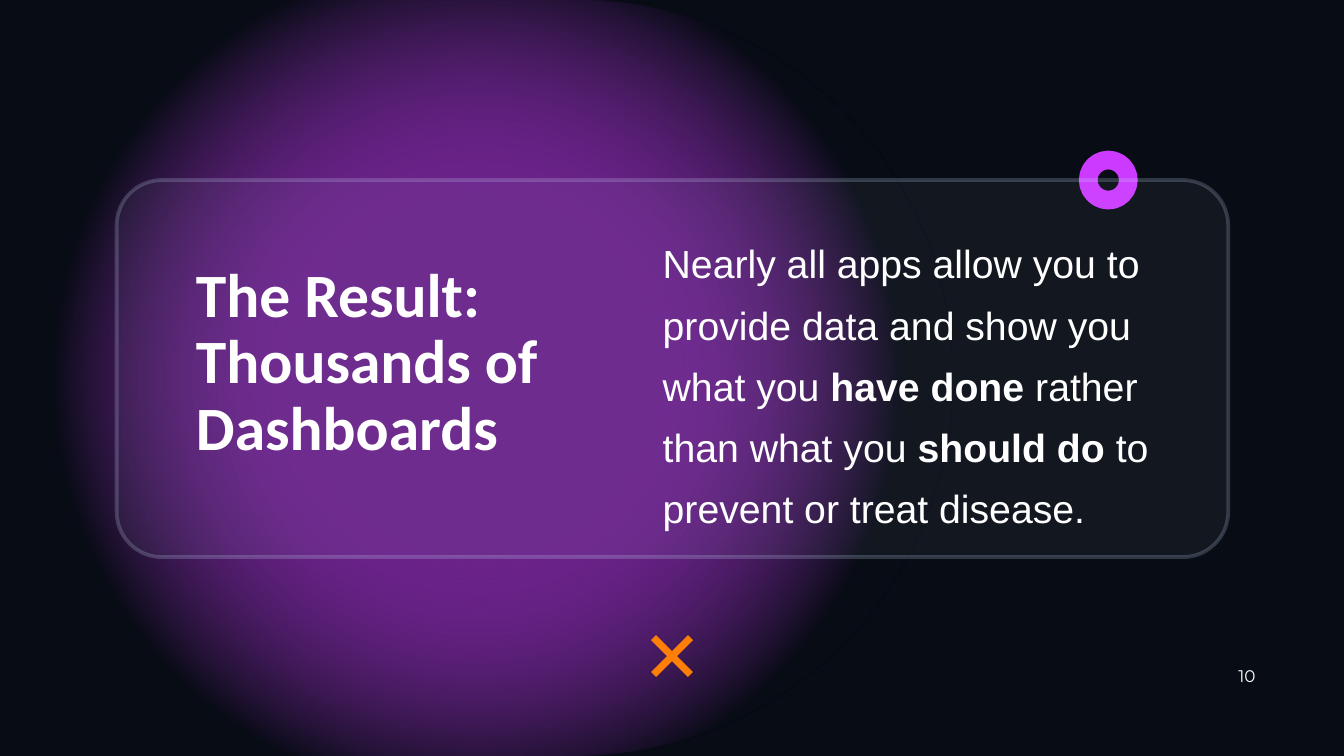
from dataclasses import dataclass

from pptx import Presentation
from pptx.dml.color import RGBColor as Color
from pptx.enum.shapes import MSO_SHAPE as Preset
from pptx.enum.text import MSO_ANCHOR as Anchor, MSO_AUTO_SIZE as AutoSize, PP_ALIGN as Align
from pptx.oxml import parse_xml
from pptx.oxml.ns import nsdecls, qn
from pptx.util import Pt


@dataclass(frozen=True)
class Theme:
    night: str = "080C15"
    purple: str = "CD3AFF"
    orange: str = "FD7F08"
    glass: str = "CDE6FF"
    white: str = "FFFFFF"
    title_size: int = 33
    body_size: int = 21
    number_size: int = 9


theme = Theme()


def add_preset(preset, left, top, width, height):
    """Add a shape with no shadow, fill or outline."""
    shape = page.shapes.add_shape(preset, Pt(left), Pt(top), Pt(width), Pt(height))
    shape.shadow.inherit = False
    shape.fill.background()
    shape.line.fill.background()
    return shape


def style_text(box, font_name, size, spacing, margins=(0, 0)):
    """Format the frame and its first paragraph, which is returned."""
    frame = box.text_frame
    frame.word_wrap = True
    frame.auto_size = AutoSize.NONE
    frame.vertical_anchor = Anchor.MIDDLE
    frame.margin_left = frame.margin_right = Pt(margins[0])
    frame.margin_top = frame.margin_bottom = Pt(margins[1])
    para = frame.paragraphs[0]
    para.alignment = Align.LEFT
    para.line_spacing = spacing
    para.font.name = font_name
    para.font.size = Pt(size)
    para.font.color.rgb = Color.from_string(theme.white)
    return para


deck = Presentation()
deck.slide_width, deck.slide_height = Pt(720), Pt(405)
page = deck.slides.add_slide(deck.slide_layouts[5])
page.background.fill.solid()
page.background.fill.fore_color.rgb = Color.from_string(theme.night)

# Purple glow, fading into the background
glow = add_preset(Preset.ROUND_2_SAME_RECTANGLE, 52.5, -52.5, 405, 510)
glow.rotation = 90
glow.adjustments[0], glow.adjustments[1] = 0.5, 0
stops = ""
for position, color, opacity in (
    (0, theme.purple, 50),
    (30, theme.purple, 50),
    (70, theme.night, 100),
    (100, theme.night, 100),
):
    stops += (
        f'<a:gs pos="{position * 1000}"><a:srgbClr val="{color}">'
        f'<a:alpha val="{opacity * 1000}"/></a:srgbClr></a:gs>'
    )
gradient = parse_xml(
    f'<a:gradFill {nsdecls("a")} rotWithShape="1"><a:gsLst>{stops}</a:gsLst>'
    '<a:path path="circle"><a:fillToRect l="50000" t="50000" r="50000" b="50000"/></a:path>'
    "</a:gradFill>"
)
properties = glow.element.spPr
properties.replace(properties.find(qn("a:noFill")), gradient)

# Accents
cross = add_preset(Preset.MATH_MULTIPLY, 341, 332.5, 38, 38)
cross.adjustments[0] = 0.1
cross.fill.solid()
cross.fill.fore_color.rgb = Color.from_string(theme.orange)

ring = add_preset(Preset.OVAL, 583, 85.75, 21.5, 21.5)
ring.line.color.rgb = Color.from_string(theme.purple)
ring.line.width = Pt(10)

# Glass card
card = add_preset(Preset.ROUNDED_RECTANGLE, 62.5, 96.5, 595.5, 202)
card.adjustments[0] = 0.12
card.line.width = Pt(2)
card.fill.solid()
card.line.fill.solid()
for fill, opacity in ((card.fill, 5), (card.line.fill, 20)):
    fill.fore_color.rgb = Color.from_string(theme.glass)
for solid, opacity in zip(card.element.spPr.iter(qn("a:solidFill")), (5, 20)):
    solid[0].append(parse_xml(f'<a:alpha {nsdecls("a")} val="{opacity * 1000}"/>'))

# Text
number = page.shapes.add_textbox(Pt(657.5), Pt(351.5), Pt(21), Pt(21.5))
para = style_text(number, "Montserrat", theme.number_size, 1.0, (2.5, 1.5))
para.alignment = Align.CENTER
para.add_run().text = "10"

body = page.shapes.add_textbox(Pt(355), Pt(124), Pt(294.5), Pt(157.5))
para = style_text(body, "Arial", theme.body_size, 1.3)
for text, bold in (
    ("Nearly all apps allow you to provide data and show you what you ", False),
    ("have done ", True),
    ("rather than what you ", False),
    ("should do ", True),
    ("to prevent or treat disease.", False),
):
    span = para.add_run()
    span.text = text
    span.font.bold = bold

title = page.shapes.title
title.left, title.top, title.width, title.height = Pt(105), Pt(141), Pt(255), Pt(108)
title.text_frame.text = "The Result: Thousands of Dashboards"
style_text(title, "Calibri", theme.title_size, 0.9).font.bold = True
title.element.getparent().append(title.element)  # bring in front of the card

deck.save("out.pptx")
